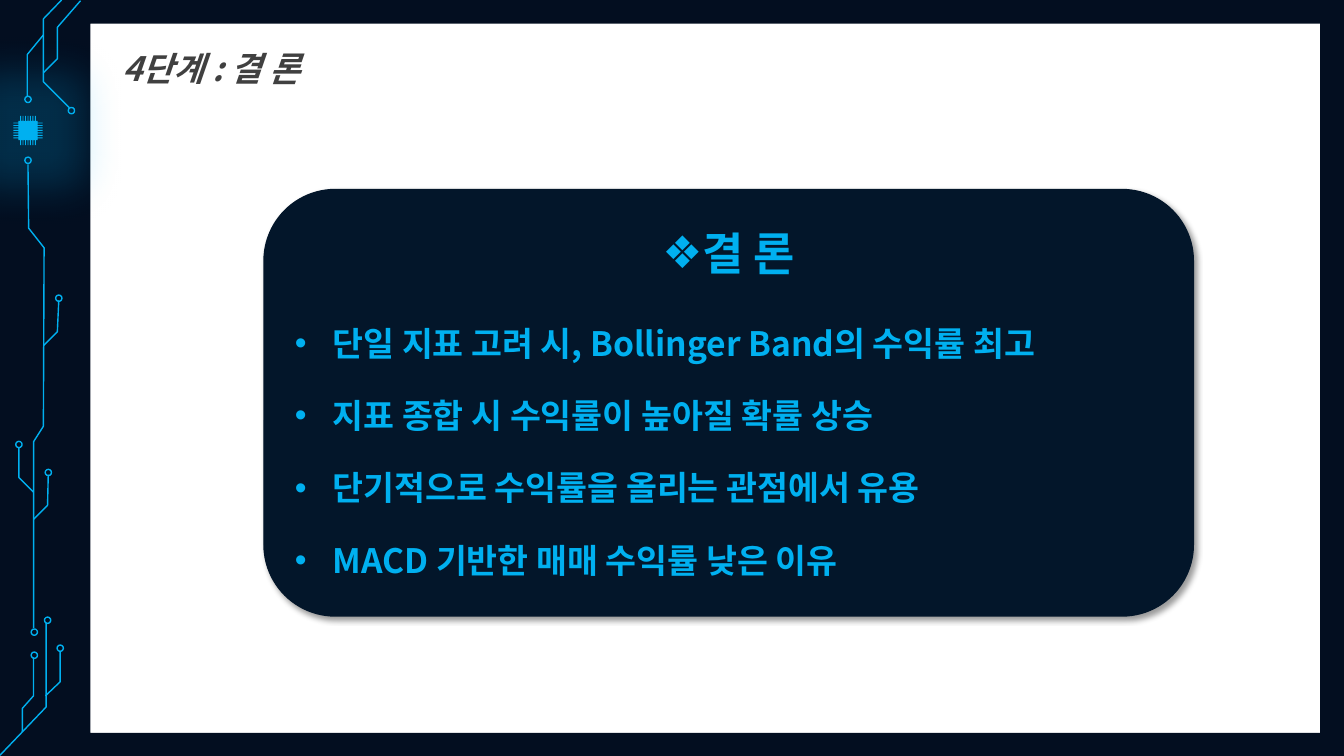
from lxml import etree
from pptx import Presentation
from pptx.dml.color import RGBColor
from pptx.enum.shapes import MSO_SHAPE
from pptx.enum.text import MSO_ANCHOR, MSO_AUTO_SIZE, PP_ALIGN
from pptx.oxml import parse_xml
from pptx.oxml.ns import qn
from pptx.util import Pt

ROUNDED = MSO_SHAPE.ROUNDED_RECTANGLE
OVAL = MSO_SHAPE.OVAL
MIDDLE = MSO_ANCHOR.MIDDLE
NO_FIT = MSO_AUTO_SIZE.NONE
LEFT, CENTER, JUSTIFY = PP_ALIGN.LEFT, PP_ALIGN.CENTER, PP_ALIGN.JUSTIFY
FONT = "Noto Sans CJK KR"
CYAN, NAVY, PANEL_NAVY, GRAY = "00B0F0", "030E20", "03162A", "404040"
color = RGBColor.from_string
A_NS = 'xmlns:a="http://schemas.openxmlformats.org/drawingml/2006/main"'

prs = Presentation()
prs.slide_width, prs.slide_height = Pt(960), Pt(540)
slide = prs.slides.add_slide(prs.slide_layouts[1])
shapes = slide.shapes


def draw_outline(contours, close=True):
    builder = None
    for contour in contours:
        points = [(Pt(x), Pt(y)) for x, y in contour]
        if builder is None:
            builder = shapes.build_freeform(*points[0], scale=1.0)
        else:
            builder.move_to(*points[0])
        builder.add_line_segments(points[1:], close=close)
    outline = builder.convert_to_shape()
    outline.shadow.inherit = False
    return outline


def style_run(paragraph, size, hex_color, italic=False):
    font = paragraph.runs[0].font
    font.name, font.size, font.bold, font.italic = FONT, Pt(size), True, italic
    font.color.rgb = color(hex_color)
    latin = font._element.find(qn("a:latin"))
    latin.addnext(parse_xml(f'<a:ea {A_NS} typeface="{FONT}"/>'))


page_edge = [(0, 0), (960, 0), (960, 540), (0, 540)]
window = [(64.5, 17), (64.5, 523.5), (943, 523.5), (943, 17)]
frame = draw_outline([page_edge, window])
frame.fill.solid()
frame.fill.fore_color.rgb = color(NAVY)
frame.line.fill.background()

traces = [
    [(44, 0), (31, 13.5), (31, 58.5), (49.5, 77)],
    [(57.5, 0.5), (41, 19.5), (41, 42), (31, 52)],
    [(31, 25), (19.5, 39), (19.5, 69)],
    [(33, 445), (33, 505), (0, 539.5)],
    [(43, 465), (43, 487), (32.5, 497)],
    [(24, 469.5), (24, 497), (16, 506), (16, 523)],
    [(20, 117.5), (20.5, 163), (31.5, 177), (31, 304.5), (24, 315.5), (24, 448.5)],
    [(42, 214.5), (41, 237), (31, 247)],
    [(34.5, 339), (34, 361), (24, 371)],
    [(13.5, 319.5), (13.5, 341), (24, 351.5)],
]
nodes = [(51, 79), (20, 71), (34, 443), (24.5, 468), (43, 463), (20, 114.5),
         (24.5, 451.5), (42, 213), (34.5, 337.5), (13.5, 317.5)]
NODE = 4.5
circuit = [draw_outline([trace], close=False) for trace in traces]
for x, y in nodes:
    node = shapes.add_shape(OVAL, Pt(x - NODE / 2), Pt(y - NODE / 2), Pt(NODE), Pt(NODE))
    node.shadow.inherit = False
    circuit.append(node)
for part in circuit:
    part.fill.background()
    part.line.color.rgb = color(CYAN)
    part.line.width = Pt(1)

CHIP_X, CHIP_Y, CORE, REACH, PITCH, PIN = 20, 93.2, 6.9, 10.5, 1.77, 0.35
chip_boxes = [(-CORE, -CORE, CORE, CORE)]
for step in range(-3, 4):
    near, far = step * PITCH - PIN, step * PITCH + PIN
    for start, end in ((-REACH, -CORE), (CORE, REACH)):
        chip_boxes += [(near, start, far, end), (start, near, end, far)]
chip = draw_outline([
    [(CHIP_X + x, CHIP_Y + y) for x, y in ((x1, y1), (x2, y1), (x2, y2), (x1, y2))]
    for x1, y1, x2, y2 in chip_boxes
])
chip.fill.solid()
chip.fill.fore_color.rgb = color(CYAN)
chip.line.fill.background()
chip._element.spPr.find(qn("a:effectLst")).append(parse_xml(
    f'<a:glow {A_NS} rad="{Pt(60)}"><a:srgbClr val="{CYAN}">'
    '<a:alpha val="20000"/></a:srgbClr></a:glow>'))

PANEL_X, PANEL_Y, PANEL_W, PANEL_H, CORNER = 188.6, 135.4, 663.8, 304.6, 0.167
panel = shapes.add_shape(ROUNDED, Pt(PANEL_X), Pt(PANEL_Y), Pt(PANEL_W), Pt(PANEL_H))
panel.adjustments[0] = CORNER
panel.fill.solid()
panel.fill.fore_color.rgb = color(PANEL_NAVY)
panel.line.color.rgb = color(PANEL_NAVY)
panel.line.width = Pt(1)
panel.shadow.inherit = False
panel._element.spPr.find(qn("a:effectLst")).append(parse_xml(
    f'<a:outerShdw {A_NS} blurRad="{Pt(4)}" dist="{Pt(3)}" dir="2700000" algn="tl">'
    '<a:srgbClr val="000000"><a:alpha val="40000"/></a:srgbClr></a:outerShdw>'))

title = shapes.title
title.left, title.top, title.width, title.height = Pt(80.6), Pt(18.7), Pt(509.8), Pt(45.4)
title.text_frame.text = "4단계 : 결 론"
heading = title.text_frame.paragraphs[0]
heading.alignment = LEFT
heading.line_spacing = 1.5
style_run(heading, 24, GRAY, italic=True)

conclusion = slide.placeholders[1]
inset = round(PANEL_H * CORNER * 0.29, 2)
conclusion.left, conclusion.top = Pt(PANEL_X + inset), Pt(PANEL_Y)
conclusion.width, conclusion.height = Pt(PANEL_W - 2 * inset), Pt(PANEL_H)
for placeholder in (title, conclusion):
    frame_text = placeholder.text_frame
    frame_text.margin_top = frame_text.margin_bottom = 0
    frame_text.vertical_anchor = MIDDLE
    frame_text.auto_size = NO_FIT
    frame_text.word_wrap = True
    shapes._spTree.append(placeholder._element)

findings = [
    ("결 론", "❖", 32, CENTER, 0),
    ("단일 지표 고려 시, Bollinger Band의 수익률 최고", "•", 24, JUSTIFY, 31),
    ("지표 종합 시 수익률이 높아질 확률 상승", "•", 24, JUSTIFY, 22.8),
    ("단기적으로 수익률을 올리는 관점에서 유용", "•", 24, JUSTIFY, 22.8),
    ("MACD 기반한 매매 수익률 낮은 이유", "•", 24, JUSTIFY, 22.8),
]
conclusion.text_frame.text = "\n".join(finding[0] for finding in findings)
for finding, (_, bullet, size, alignment, gap) in zip(conclusion.text_frame.paragraphs, findings):
    finding.alignment = alignment
    finding.space_before = Pt(gap)
    style_run(finding, size, CYAN)
    properties = finding._p.get_or_add_pPr()
    properties.set("marL", str(Pt(27)))
    properties.set("indent", str(-Pt(27)))
    etree.SubElement(properties, qn("a:buChar")).set("char", bullet)

prs.save("out.pptx")
